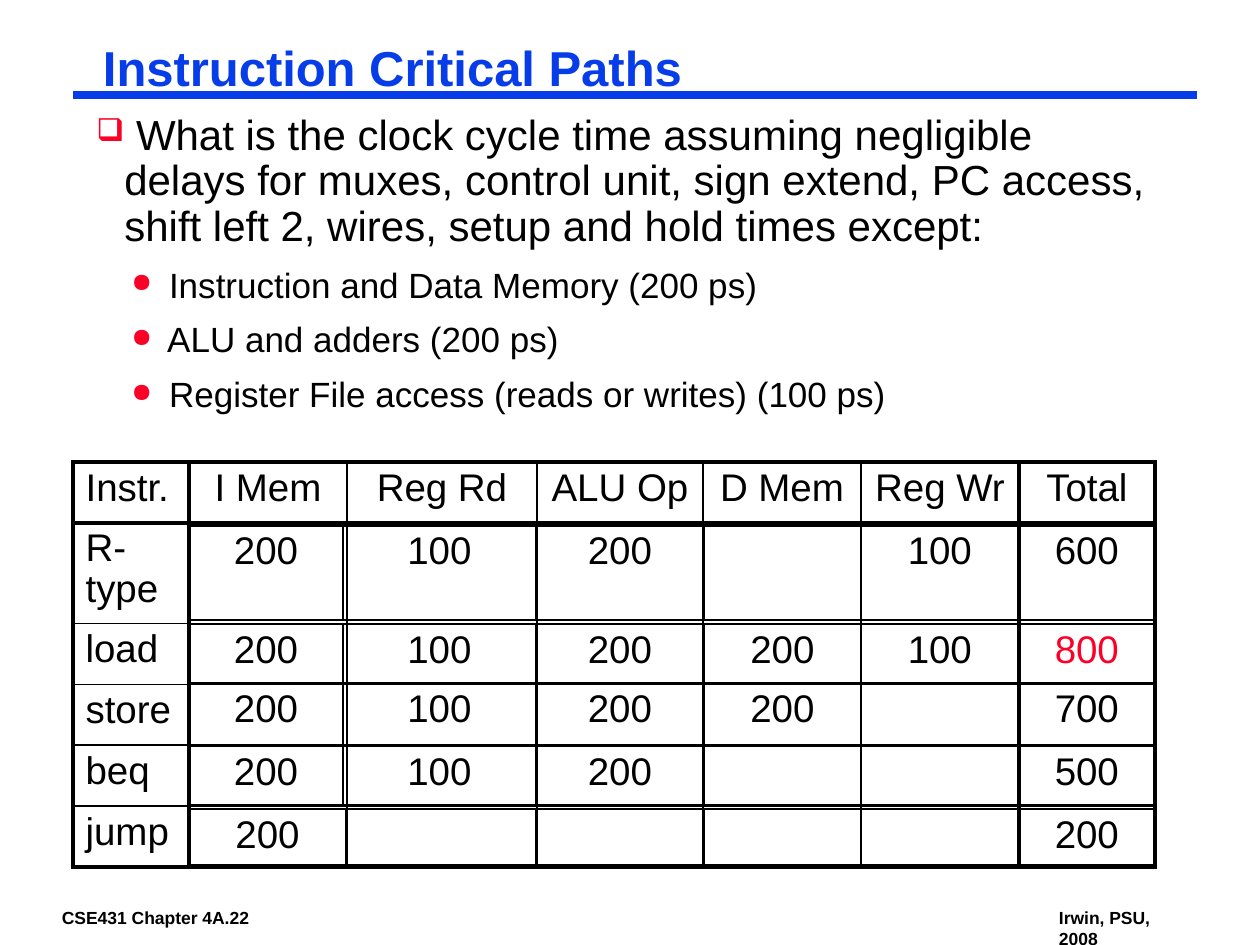
from dataclasses import dataclass

from lxml import etree
from pptx import Presentation, util as u
from pptx.dml.color import RGBColor
from pptx.enum import shapes, text
from pptx.oxml.ns import qn

EMU_PER_PX = 914400 / 126
FONT = "Arial"
BLACK = RGBColor(0x00, 0x00, 0x00)
BLUE = RGBColor(0x06, 0x3D, 0xE8)
RED = RGBColor(0xFC, 0x01, 0x28)
THIN, HEAVY = u.Pt(1), u.Pt(2.25)


@dataclass(frozen=True)
class Label:
    content: str
    left: int
    top: int
    width: int
    height: int
    size: int
    color: RGBColor = BLACK
    line_spacing: float = 1.0


@dataclass(frozen=True)
class Grid:
    """A table; heavy sets number the grid lines drawn with the thick pen."""
    left: int
    top: int
    widths: list[int]
    heights: list[int]
    rows: list[list[str]]
    heavy_columns: set[int]
    heavy_rows: set[int]
    left_aligned_first: bool = False


@dataclass(frozen=True)
class Bullet:
    content: str
    mark: str
    size: int
    margin: int
    line_spacing: float
    space_before: int = 0


LABELS = [
    Label("CSE431 Chapter 4A.22", 53, 903, 213, 28, 10),
    Label("Irwin, PSU, 2008", 1050, 903, 148, 49, 10),
    Label("Instruction Critical Paths", 94, 42, 1081, 58, 28, BLUE, 0.87),
]

HANGING = 28
QUESTION = (" What is the clock cycle time assuming negligible delays for muxes, "
            "control unit, sign extend, PC access, shift left 2, wires, setup and "
            "hold times except:")
DELAYS = [
    " Instruction and Data Memory (200 ps)",
    " ALU and adders (200 ps)",
    " Register File access (reads or writes) (100 ps)",
]
BULLETS = [Bullet(QUESTION, "❑", 24, HANGING, 0.9)] + [
    Bullet(delay, "●", 20, 63, 0.85, 11) for delay in DELAYS]

# Outer grid with the headings and the instruction names
HEADINGS = ["Instr.", "I Mem", "Reg Rd", "ALU Op", "D Mem", "Reg Wr", "Total"]
INSTRUCTIONS = ["R-type", "load", "store", "beq", "jump"]
INSTRUCTION_GRID = Grid(
    73, 462, [116, 158, 190, 166, 158, 158, 136], [61, 95, 61, 61, 61, 61],
    [HEADINGS] + [[name] + [""] * 6 for name in INSTRUCTIONS],
    {0, 1, 6, 7}, {0, 1, 6}, True)

# One grid of delays per instruction: top, height, values, heavy rows
WIDTHS = [154, 193, 168, 157, 158, 136]
JUMP_WIDTHS = [157, 190] + WIDTHS[2:]
DELAY_ROWS = [
    (525, 95, WIDTHS, ["200", "100", "200", "", "100", "600"], {0}),
    (624, 59, WIDTHS, ["200", "100", "200", "200", "100", "800"], set()),
    (683, 63, WIDTHS, ["200", "100", "200", "200", "", "700"], set()),
    (746, 59, WIDTHS, ["200", "100", "200", "", "", "500"], set()),
    (809, 57, JUMP_WIDTHS, ["200", "", "", "", "", "200"], {1}),
]
DELAY_GRIDS = [
    Grid(189, top, widths, [height], [values], {0, 5, 6}, heavy_rows)
    for top, height, widths, values, heavy_rows in DELAY_ROWS]
LONGEST_DELAY = "800"


def px(length: int) -> u.Emu:
    return u.Emu(round(length * EMU_PER_PX))


def style_paragraph(paragraph, size: int, color: RGBColor, bold: bool = False) -> None:
    for run in paragraph.runs:
        run.font.name = FONT
        run.font.size = u.Pt(size)
        run.font.bold = bold
        run.font.color.rgb = color


def add_label(slide, label: Label) -> None:
    shape = slide.shapes.add_textbox(*map(px, (label.left, label.top, label.width, label.height)))
    frame = shape.text_frame
    frame.word_wrap = True
    frame.margin_left = frame.margin_right = px(9)
    frame.margin_top = frame.margin_bottom = px(4)
    frame.text = label.content
    paragraph = frame.paragraphs[0]
    paragraph.line_spacing = label.line_spacing
    style_paragraph(paragraph, label.size, label.color, True)


def add_rule(slide) -> None:
    rule = slide.shapes.add_connector(
        shapes.MSO_CONNECTOR.STRAIGHT, px(73), px(95), px(1197), px(95))
    rule.line.color.rgb = BLUE
    rule.line.width = u.Pt(4.5)
    etree.SubElement(rule._element.spPr, qn("a:effectLst"))


def add_bullets(slide, bullets: list[Bullet]) -> None:
    frame = slide.shapes.add_textbox(px(84), px(108), px(1081), px(321)).text_frame
    frame.word_wrap = True
    for index, bullet in enumerate(bullets):
        paragraph = frame.add_paragraph() if index else frame.paragraphs[0]
        paragraph.text = bullet.content
        paragraph.line_spacing = bullet.line_spacing
        if bullet.space_before:
            paragraph.space_before = u.Pt(bullet.space_before)
            paragraph.level = 1
        properties = paragraph._p.get_or_add_pPr()
        properties.set("marL", str(px(bullet.margin)))
        properties.set("indent", str(px(-HANGING)))
        bullet_color = etree.SubElement(properties, qn("a:buClr"))
        etree.SubElement(bullet_color, qn("a:srgbClr"), val=str(RED))
        etree.SubElement(properties, qn("a:buSzPct"), val="75000")
        etree.SubElement(properties, qn("a:buChar"), char=bullet.mark)
        style_paragraph(paragraph, bullet.size, BLACK)


def add_border(cell, edge: str, width: u.Length) -> None:
    line = etree.SubElement(cell._tc.get_or_add_tcPr(), qn(f"a:{edge}"), w=str(width))
    fill = etree.SubElement(line, qn("a:solidFill"))
    etree.SubElement(fill, qn("a:srgbClr"), val=str(BLACK))


def add_grid(slide, grid: Grid) -> None:
    table = slide.shapes.add_table(
        len(grid.heights), len(grid.widths), px(grid.left), px(grid.top),
        px(sum(grid.widths)), px(sum(grid.heights))).table
    table.first_row = table.horz_banding = False
    for column, width in zip(table.columns, grid.widths):
        column.width = px(width)
    for row, height in zip(table.rows, grid.heights):
        row.height = px(height)
    for r, values in enumerate(grid.rows):
        for c, value in enumerate(values):
            cell = table.cell(r, c)
            edges = {"lnL": c in grid.heavy_columns, "lnR": c + 1 in grid.heavy_columns,
                     "lnT": r in grid.heavy_rows, "lnB": r + 1 in grid.heavy_rows}
            for edge, heavy in edges.items():
                add_border(cell, edge, HEAVY if heavy else THIN)
            cell.fill.background()
            if not value:
                continue
            cell.text_frame.text = value
            paragraph = cell.text_frame.paragraphs[0]
            paragraph.line_spacing = 0.95
            names_column = grid.left_aligned_first and c == 0
            paragraph.alignment = text.PP_ALIGN.LEFT if names_column else text.PP_ALIGN.CENTER
            style_paragraph(paragraph, 22, RED if value == LONGEST_DELAY else BLACK)


def main() -> None:
    presentation = Presentation()
    presentation.slide_width, presentation.slide_height = px(1260), px(945)
    slide = presentation.slides.add_slide(presentation.slide_layouts[6])

    # Footer, title and its rule
    for label in LABELS:
        add_label(slide, label)
    add_rule(slide)

    # Question and component delays
    add_bullets(slide, BULLETS)

    # Timing tables
    for grid in [INSTRUCTION_GRID] + DELAY_GRIDS:
        add_grid(slide, grid)

    presentation.save("out.pptx")


if __name__ == "__main__":
    main()
